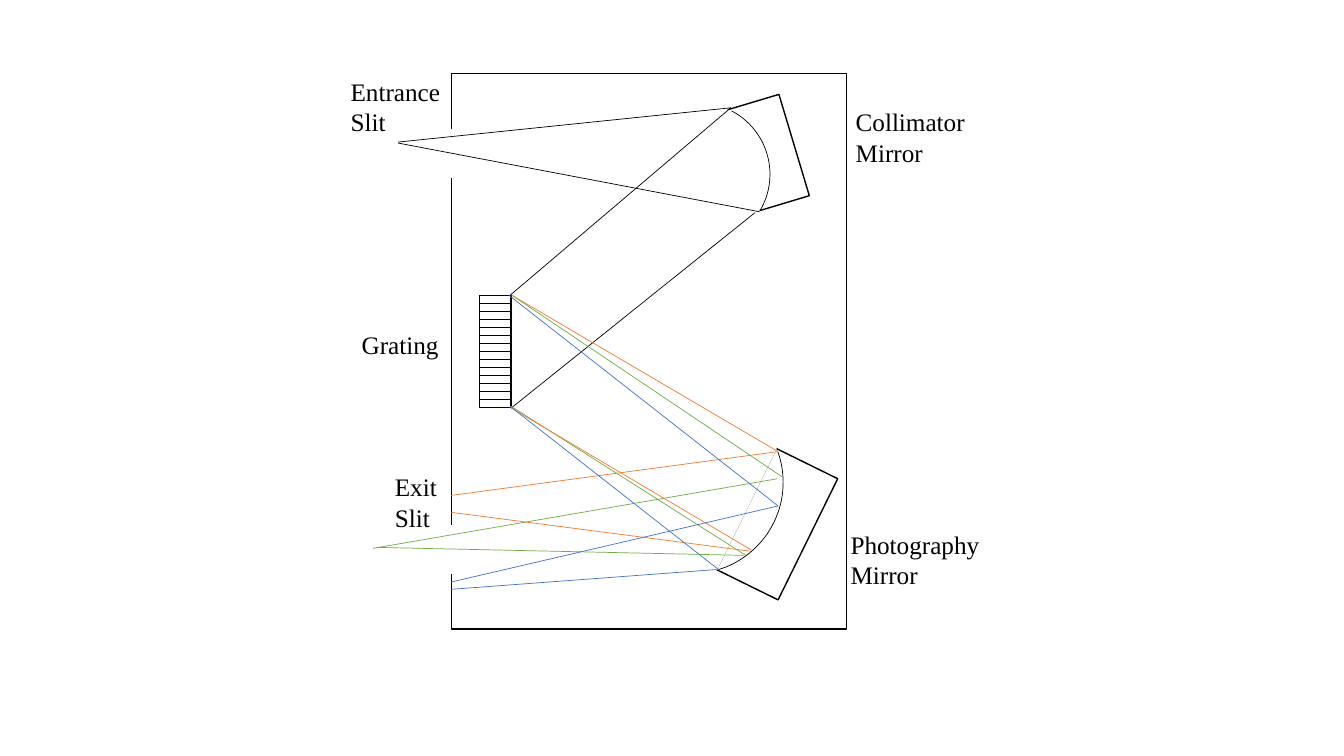
from lxml.etree import SubElement
from pptx import Presentation
from pptx.dml.color import RGBColor
from pptx.enum.shapes import MSO_CONNECTOR, MSO_SHAPE
from pptx.enum.text import MSO_AUTO_SIZE
from pptx.oxml.ns import qn
from pptx.util import Pt

COLORS = {"ink": "000000", "paper": "FFFFFF", "green": "70AD47",
          "orange": "ED7D31", "blue": "4472C4"}
FONT = "Times New Roman"

# Boxes are left, top, width, height in points
HOUSING = (322.6, 52.6, 282.2, 396.7)
GRATING = (342.7, 211, 22.3, 79.9)
GROOVE_GAPS = 14

PHOTOGRAPHY_MIRROR = {"block": (530.6, 326.2, 49, 96.5), "tilt": 26.2,
                      "curve": (429.1, 279.4, 130.3, 130.3), "curve_tilt": 70.5,
                      "opening": (526.3, 313.9, 7.2, 96.5)}
COLLIMATOR_MIRROR = {"block": (529.9, 71.3, 38.2, 75.6), "tilt": 343.3,
                     "curve": (447.8, 73.4, 102.2, 102.2), "curve_tilt": 27.6,
                     "opening": (525.6, 77.8, 5.8, 75.6)}
ARC_END = 2.179

SLITS = [(315.4, 375.8, 11.5, 33.8), (315.4, 92.9, 11.5, 33.8)]
RAY_STOPS = [(276.5, 339.8, 45.4, 33.8), (288, 403.2, 33.8, 33.8),
             (308.9, 403.2, 12.2, 33.8)]

# Rays are x1, y1, x2, y2
RAYS = {
    "ink": [(284.4, 101.5, 522, 77), (284.4, 102.2, 542.2, 151.2),
            (365, 291.6, 539.3, 151.9), (364.3, 211, 522, 77)],
    "green": [(365, 290.2, 532.8, 396.7), (365.8, 211, 558.7, 340.6),
              (266.4, 391.7, 555.1, 342), (268.6, 391, 531.4, 396.7)],
    "orange": [(365.8, 211, 555.8, 322.6), (364.3, 290.9, 537.1, 393.1),
               (276.5, 360, 536.4, 393.8), (276.5, 360, 555.8, 322.6)],
    "blue": [(364.3, 290.2, 514.1, 407.5), (363.6, 211, 555.8, 361.4),
             (289.4, 423.4, 555.8, 361.4), (289.4, 423.4, 511.9, 406.8)],
}

# Each label holds paragraphs, and each paragraph holds its lines
LABELS = [
    ((604.1, 72.7, 100.1, 51.1), [["Collimator", "Mirror"]]),
    ((600.5, 374.4, 115.2, 51.1), [["Photography"], ["Mirror"]]),
    ((251.3, 231.8, 115.2, 28.8), [["Grating"]]),
    ((243.4, 51.1, 115.2, 51.1), [["Entrance"], ["Slit"]]),
    ((275, 333.4, 115.2, 51.1), [["Exit"], ["Slit"]]),
]


def color(name):
    return RGBColor.from_string(COLORS[name])


def add_outline(shapes, kind, box, line="ink", fill=None, width=1, tilt=0):
    shape = shapes.add_shape(kind, *map(Pt, box))
    shape.shadow.inherit = False
    shape.rotation = tilt
    if fill:
        shape.fill.solid()
        shape.fill.fore_color.rgb = color(fill)
    else:
        shape.fill.background()
    shape.line.color.rgb = color(line)
    shape.line.width = Pt(width)
    return shape


def add_mask(shapes, box, tilt=0):
    """White rectangle that hides what lies behind it."""
    add_outline(shapes, MSO_SHAPE.RECTANGLE, box, "paper", "paper", tilt=tilt)


def add_mirror(shapes, mirror):
    add_outline(shapes, MSO_SHAPE.RECTANGLE, mirror["block"], fill="paper",
                tilt=mirror["tilt"])
    curve = add_outline(shapes, MSO_SHAPE.ARC, mirror["curve"], width=0.5,
                        tilt=mirror["curve_tilt"])
    curve.adjustments[1] = ARC_END
    add_mask(shapes, mirror["opening"], mirror["tilt"])


def add_line(shapes, ends, line, width):
    connector = shapes.add_connector(MSO_CONNECTOR.STRAIGHT, *map(Pt, ends))
    connector.line.color.rgb = color(line)
    connector.line.width = Pt(width)
    SubElement(connector._element.spPr, qn("a:effectLst"))
    return connector


def add_grating(shapes):
    grating = add_outline(shapes, MSO_SHAPE.RECTANGLE, GRATING, fill="paper")
    left, top, width, height = GRATING
    for groove in range(1, GROOVE_GAPS):
        y = top + height * groove / GROOVE_GAPS
        line = add_line(shapes, (left, y, left + width, y), "ink", 1)
        if groove * 2 == GROOVE_GAPS:
            line.begin_connect(grating, 1)
            line.end_connect(grating, 3)


def add_label(shapes, box, paragraphs):
    frame = shapes.add_textbox(*map(Pt, box)).text_frame
    frame.word_wrap = True
    frame.auto_size = MSO_AUTO_SIZE.SHAPE_TO_FIT_TEXT
    for index, lines in enumerate(paragraphs):
        paragraph = frame.add_paragraph() if index else frame.paragraphs[0]
        for row, words in enumerate(lines):
            if row:
                paragraph.add_line_break()
            run = paragraph.add_run()
            run.text = words
            run.font.name = FONT
            run.font.size = Pt(18)
            run.font.color.rgb = color("ink")


def main():
    deck = Presentation()
    deck.slide_width, deck.slide_height = Pt(960), Pt(540)
    shapes = deck.slides.add_slide(deck.slide_layouts[6]).shapes

    add_mirror(shapes, PHOTOGRAPHY_MIRROR)
    add_outline(shapes, MSO_SHAPE.RECTANGLE, HOUSING)
    add_grating(shapes)
    for slit in SLITS:
        add_mask(shapes, slit)
    add_mirror(shapes, COLLIMATOR_MIRROR)
    for ray_color, rays in RAYS.items():
        for ray in rays:
            add_line(shapes, ray, ray_color, 0.5)
    for stop in RAY_STOPS:
        add_mask(shapes, stop)
    for box, paragraphs in LABELS:
        add_label(shapes, box, paragraphs)

    deck.save("out.pptx")


if __name__ == "__main__":
    main()
